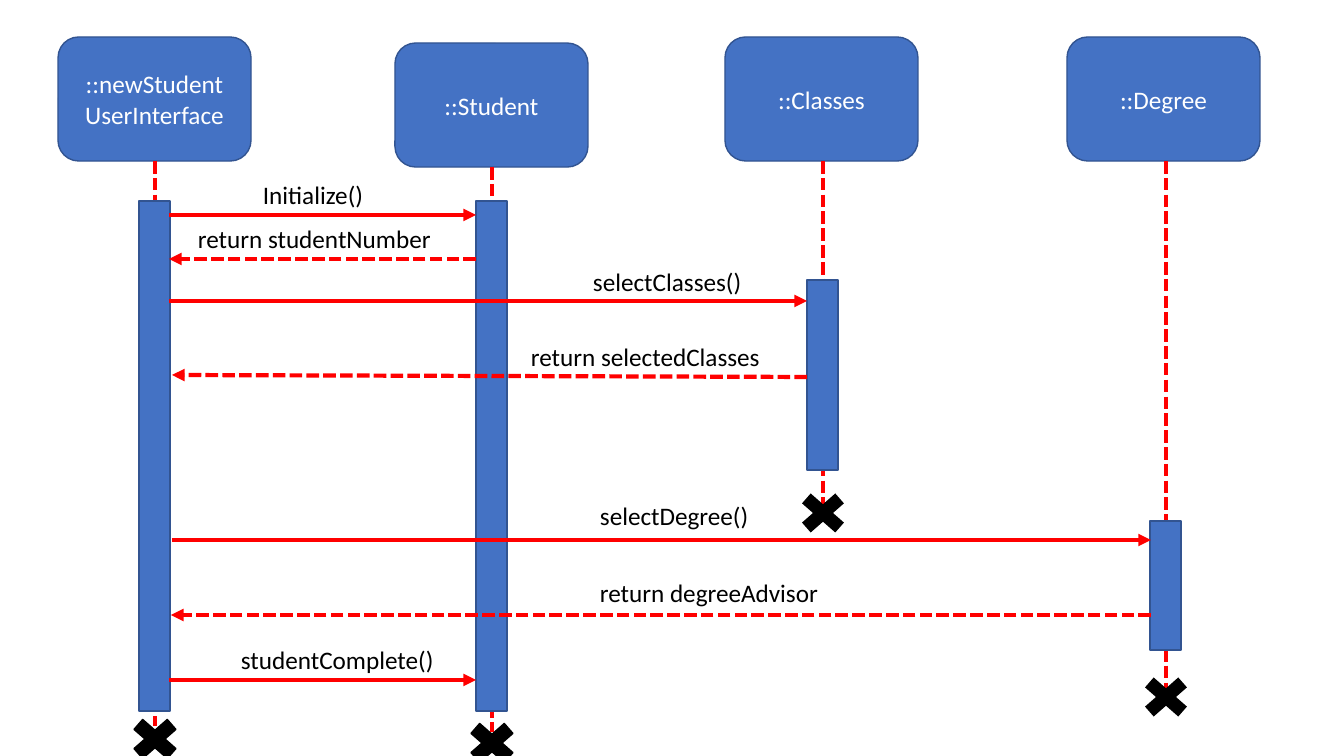
from dataclasses import dataclass

from lxml.etree import SubElement
from pptx import Presentation
from pptx.dml.color import RGBColor
from pptx.enum.dml import MSO_LINE_DASH_STYLE as DASH
from pptx.enum.shapes import MSO_CONNECTOR, MSO_SHAPE as SHAPE
from pptx.enum.text import MSO_ANCHOR, MSO_AUTO_SIZE, PP_ALIGN
from pptx.oxml.ns import qn
from pptx.util import Emu, Pt


@dataclass(frozen=True)
class Theme:
    """Colours, font and sizes shared by the whole diagram."""
    fill: str = "4472C4"
    outline: str = "325491"
    arrow: str = "FF0000"
    dark: str = "000000"
    light: str = "FFFFFF"
    font: str = "Calibri"
    text_size: int = 18
    arrow_width: int = 3
    outline_width: int = 1


@dataclass(frozen=True)
class Participant:
    """A head box, its lifeline, activation bar and end mark."""
    name: str
    axis: int
    box_left: int
    box_top: int
    bar_top: int
    bar_height: int
    life_end: int
    cross_top: int
    cross_line: bool = False


@dataclass(frozen=True)
class Message:
    """An arrow between two activation bars, with its label."""
    label: str
    start: tuple
    end: tuple
    label_box: tuple
    dashed: bool = False


THEME = Theme()
EMU_PER_PIXEL = 914400 / 100.8
BOX_WIDTH, BOX_HEIGHT = 193, 124
BAR_WIDTH = 31
CROSS_WIDTH, CROSS_HEIGHT = 64, 56
LABEL_HEIGHT = 40

PARTICIPANTS = [
    Participant("::newStudent\nUserInterface", 155, 58, 37, 201, 510, 726, 711, True),
    Participant("::Student", 492, 395, 43, 201, 510, 732, 715, True),
    Participant("::Classes", 823, 725, 37, 280, 190, 521, 485),
    Participant("::Degree", 1166, 1067, 37, 521, 129, 700, 669),
]

MESSAGES = [
    Message("Initialize()", (169, 215), (476, 215), (253, 174, 193)),
    Message("return studentNumber", (476, 259), (169, 259), (188, 218, 278), True),
    Message("selectClasses()", (169, 301), (807, 301), (583, 261, 193)),
    Message("return selectedClasses", (807, 377), (172, 375), (521, 336, 303), True),
    Message("selectDegree()", (172, 540), (1151, 540), (590, 495, 193)),
    Message("return degreeAdvisor", (1151, 615), (171, 615), (590, 572, 272), True),
    Message("studentComplete()", (169, 680), (476, 680), (231, 639, 269)),
]


def px(*lengths):
    """Turn pixel lengths into EMU."""
    return [Emu(round(length * EMU_PER_PIXEL)) for length in lengths]


def colour(value):
    """Turn a hexadecimal string into a colour."""
    return RGBColor.from_string(value)


def write_text(frame, text, color=THEME.dark, align=PP_ALIGN.LEFT, anchor=MSO_ANCHOR.TOP):
    """Write one paragraph per line of text into a frame."""
    frame.word_wrap = True
    frame.vertical_anchor = anchor
    for index, line in enumerate(text.split("\n")):
        paragraph = frame.add_paragraph() if index else frame.paragraphs[0]
        paragraph.alignment = align
        run = paragraph.add_run()
        run.text = line
        run.font.name = THEME.font
        run.font.size = Pt(THEME.text_size)
        run.font.color.rgb = colour(color)


def add_block(slide, kind, box, fill=THEME.fill, line=THEME.outline):
    """Add a filled preset shape, outlined unless line is None."""
    shape = slide.shapes.add_shape(kind, *px(*box))
    shape.shadow.inherit = False
    shape.fill.solid()
    shape.fill.fore_color.rgb = colour(fill)
    if line is None:
        shape.line.fill.background()
    else:
        shape.line.color.rgb = colour(line)
        shape.line.width = Pt(THEME.outline_width)
    return shape


def add_line(slide, start, end, dashed=False, arrow=False):
    """Add a straight line, optionally dashed or ending in an arrowhead."""
    connector = slide.shapes.add_connector(MSO_CONNECTOR.STRAIGHT, *px(*start, *end))
    connector.line.color.rgb = colour(THEME.arrow)
    connector.line.width = Pt(THEME.arrow_width)
    if dashed:
        connector.line.dash_style = DASH.SQUARE_DOT
    properties = connector._element.spPr
    if arrow:
        SubElement(properties.find(qn("a:ln")), qn("a:tailEnd"), type="triangle")
    SubElement(properties, qn("a:effectLst"))


def add_head(slide, participant):
    """Add the named box at the top of a lifeline."""
    box = (participant.box_left, participant.box_top, BOX_WIDTH, BOX_HEIGHT)
    shape = add_block(slide, SHAPE.ROUNDED_RECTANGLE, box)
    write_text(shape.text_frame, participant.name, color=THEME.light,
               align=PP_ALIGN.CENTER, anchor=MSO_ANCHOR.MIDDLE)


def add_lifeline(slide, participant):
    """Add the dashed lifeline, activation bar and end mark."""
    axis = participant.axis
    add_line(slide, (axis, participant.box_top + BOX_HEIGHT),
             (axis, participant.life_end), dashed=True)
    add_block(slide, SHAPE.RECTANGLE, (axis - BAR_WIDTH // 2 - 1, participant.bar_top,
                                       BAR_WIDTH, participant.bar_height))
    add_block(slide, SHAPE.MATH_MULTIPLY,
              (axis - CROSS_WIDTH // 2, participant.cross_top, CROSS_WIDTH, CROSS_HEIGHT),
              fill=THEME.dark, line=THEME.dark if participant.cross_line else None)


def add_message(slide, message):
    """Add a message arrow and its label."""
    add_line(slide, message.start, message.end, dashed=message.dashed, arrow=True)
    label = slide.shapes.add_textbox(*px(*message.label_box, LABEL_HEIGHT))
    write_text(label.text_frame, message.label)
    label.text_frame.auto_size = MSO_AUTO_SIZE.SHAPE_TO_FIT_TEXT


def main():
    """Build the sequence diagram and save it."""
    presentation = Presentation()
    presentation.slide_width, presentation.slide_height = px(1344, 756)
    slide = presentation.slides.add_slide(presentation.slide_layouts[6])
    for participant in PARTICIPANTS:
        add_head(slide, participant)
        add_lifeline(slide, participant)
    for message in MESSAGES:
        add_message(slide, message)
    presentation.save("out.pptx")


main()
